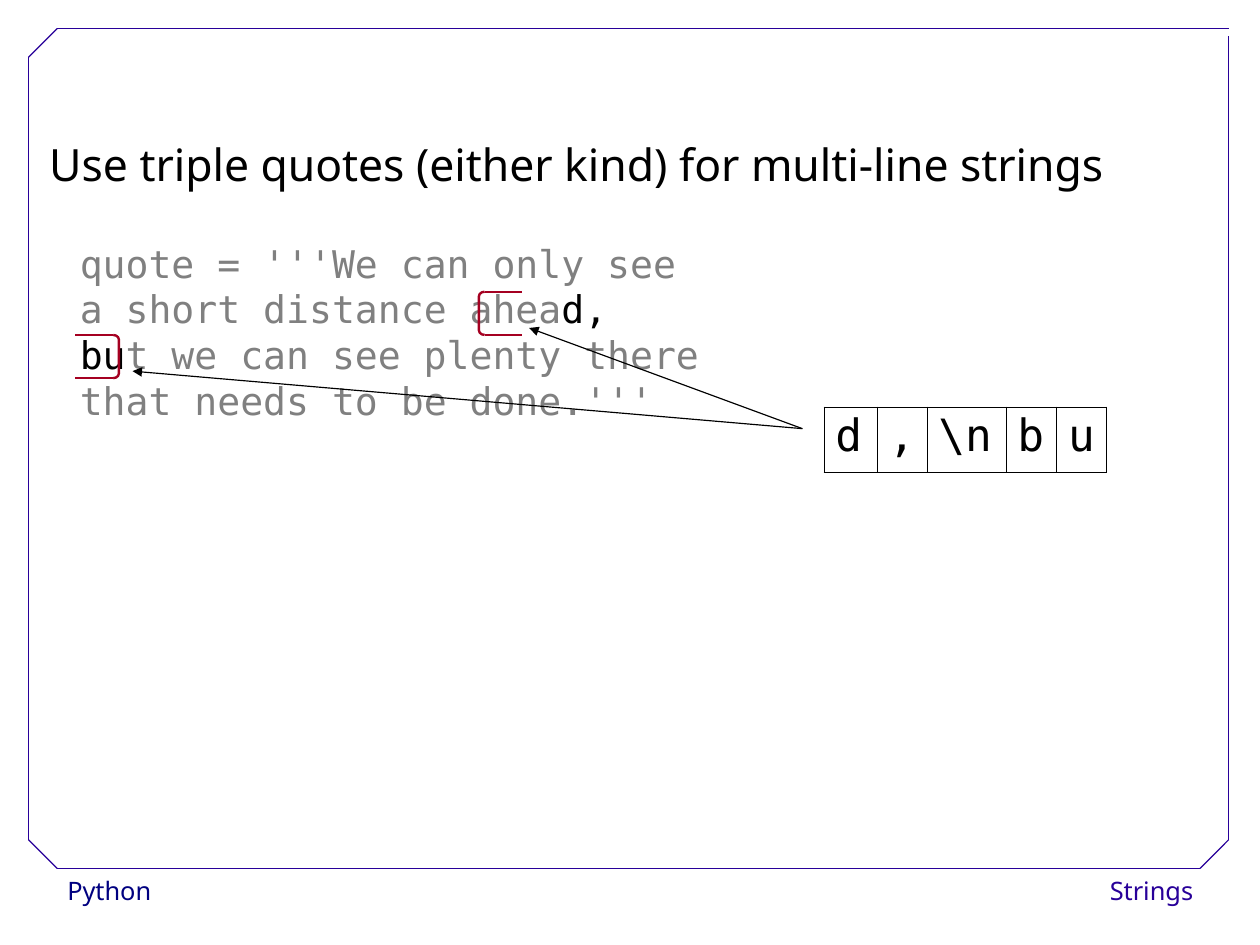
"""Build a slide on multi-line strings in Python."""
from lxml.etree import SubElement
from pptx import Presentation
from pptx.dml.color import RGBColor as RGB
from pptx.enum.shapes import MSO_CONNECTOR as CONN, MSO_SHAPE as SHAPE
from pptx.enum.text import MSO_ANCHOR as ANCHOR, MSO_AUTO_SIZE as FIT, PP_ALIGN as ALIGN
from pptx.oxml import parse_xml
from pptx.oxml.ns import nsdecls, qn
from pptx.util import Pt

BLACK = RGB(0, 0, 0)
WHITE = RGB(255, 255, 255)
GREY = RGB(0x80, 0x80, 0x80)
NAVY = RGB(0, 0, 0x80)
PURPLE = RGB(0x28, 0, 0x99)
RED = RGB(0xA5, 0, 0x21)
SANS = "Noto Sans"
MONO = "DejaVu Sans Mono"


def write(frame, lines, name, size, align=ALIGN.LEFT, space=1.0):
    setup = {"word_wrap": True, "auto_size": FIT.NONE, "vertical_anchor": ANCHOR.TOP,
             "margin_left": Pt(7.2), "margin_right": Pt(7.2),
             "margin_top": Pt(3.6), "margin_bottom": Pt(3.6)}
    for key, val in setup.items():
        setattr(frame, key, val)
    for num, line in enumerate(lines):
        para = frame.add_paragraph() if num else frame.paragraphs[0]
        para.alignment, para.line_spacing = align, space
        for text, color in line:
            run = para.add_run()
            run.text = text
            for key, val in {"name": name, "size": Pt(size), "bold": False}.items():
                setattr(run.font, key, val)
            run.font.color.rgb = color


def draw(start, end, color, width=0.75, arrow=False):
    line = slide.shapes.add_connector(CONN.STRAIGHT, *map(Pt, start + end))
    line.line.color.rgb = color
    line.line.width = Pt(width)
    props = line._element.spPr
    if arrow:
        SubElement(props.find(qn("a:ln")), qn("a:tailEnd"), type="triangle")
    SubElement(props, qn("a:effectLst"))


deck = Presentation()
deck.slide_width, deck.slide_height = Pt(793.75), Pt(595.25)
slide = deck.slides.add_slide(deck.slide_layouts[5])

FOOTS = [("Python", 35.3, 154.8, NAVY, ALIGN.LEFT),
         ("Strings", 658, 100.8, PURPLE, ALIGN.RIGHT)]
for text, left, width, color, align in FOOTS:
    foot = slide.shapes.add_textbox(Pt(left), Pt(547.2), Pt(width), Pt(28.8))
    foot.fill.solid()
    foot.fill.fore_color.rgb = WHITE
    write(foot.text_frame, [[(text, color)]], SANS, 16, align, 1.02)

LEFT, TOP, RIGHT, BASE, CUT = 18, 18, 774, 547, 18
FRAME = [
    ((LEFT + CUT, BASE), (RIGHT - CUT, BASE)),
    ((LEFT, BASE - CUT), (LEFT, TOP + CUT)),
    ((LEFT + CUT, TOP), (RIGHT, TOP)),
    ((RIGHT, BASE - CUT), (RIGHT, TOP + 5)),
    ((LEFT, TOP + CUT), (LEFT + CUT, TOP)),
    ((RIGHT - CUT, BASE), (RIGHT, BASE - CUT)),
    ((LEFT, BASE - CUT), (LEFT + CUT, BASE)),
]
for start, end in FRAME:
    draw(start, end, PURPLE)

CODE = [
    [("quote = '''We can only see", GREY)],
    [("a short distance ahea", GREY), ("d,", BLACK)],
    [("bu", BLACK), ("t we can see plenty there", GREY)],
    [("that needs to be done.'''", GREY)],
]
code = slide.shapes.add_textbox(Pt(43.2), Pt(147.6), Pt(410), Pt(163.4))
write(code.text_frame, CODE, MONO, 24)

CHARS = [("d", 33.4), (",", 31.5), ("\\n", 49.8), ("b", 32), ("u", 31.5)]
total = sum(width for _, width in CHARS)
table = slide.shapes.add_table(1, len(CHARS), Pt(519.1), Pt(256.3), Pt(total), Pt(41)).table
table.first_row = table.horz_banding = False
for col, (char, width) in enumerate(CHARS):
    table.columns[col].width = Pt(width)
    cell = table.cell(0, col)
    write(cell.text_frame, [[(char, BLACK)]], MONO, 28, space=0.93)
    cell.fill.background()
    props = cell._tc.get_or_add_tcPr()
    for pos, side in enumerate("LRTB"):
        props.insert(pos, parse_xml(
            f'<a:ln{side} {nsdecls("a")} w="{Pt(0.45)}"><a:solidFill>'
            f'<a:srgbClr val="{BLACK}"/></a:solidFill></a:ln{side}>'))

TALL, CURVE, ARM = 27.2, 3.6, 23.8
BRACES = [(SHAPE.LEFT_BRACKET, 301.7, 183.8, 305.3, ARM),
          (SHAPE.RIGHT_BRACKET, 71.3, 211, 71.3, -ARM)]
for kind, left, top, joint, arm in BRACES:
    brace = slide.shapes.add_shape(kind, Pt(left), Pt(top), Pt(CURVE), Pt(TALL))
    brace.adjustments[0] = 0.8
    brace.shadow.inherit = False
    brace.fill.background()
    brace.line.color.rgb = RED
    brace.line.width = Pt(1.5)
    for level in (top + TALL, top):
        draw((joint, level), (joint + arm, level), RED, 1.5)

for tip in ((333.4, 206.6), (83.5, 233.8)):
    draw((505.5, 270), tip, BLACK, arrow=True)

title = slide.shapes.title
PLACE = {"left": 23.8, "top": 66.2, "width": 750.2, "height": 57.6}
for key, val in PLACE.items():
    setattr(title, key, Pt(val))
HEAD = "Use triple quotes (either kind) for multi-line strings"
write(title.text_frame, [[(HEAD, BLACK)]], SANS, 28, space=1.5)

deck.save("out.pptx")
